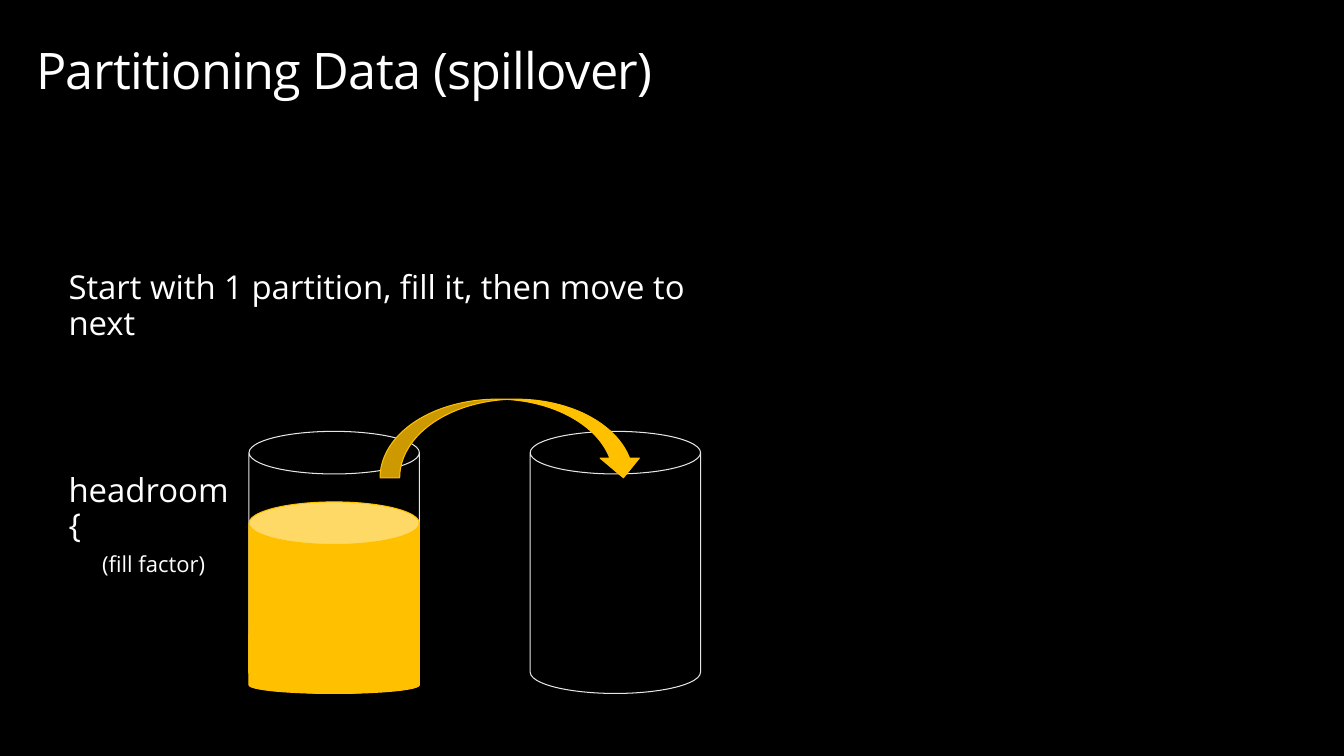
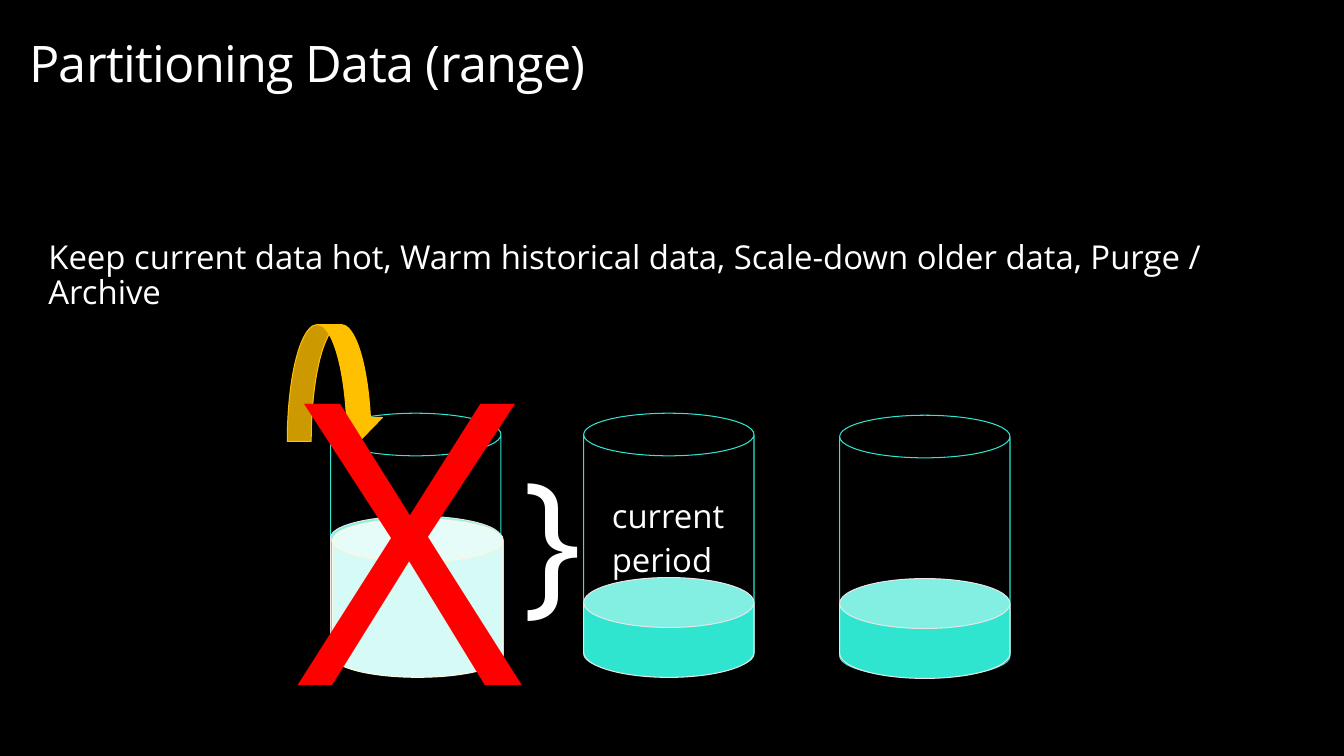
import pptx
import pptx.dml.color
import pptx.enum.shapes
import pptx.enum.text
import pptx.util
from lxml import etree

Pt = pptx.util.Pt
Shapes = pptx.enum.shapes.MSO_SHAPE
Align = pptx.enum.text.PP_ALIGN


def color(hex_string):
    return pptx.dml.color.RGBColor.from_string(hex_string)


def place(shape, left, top, width, height):
    shape.left, shape.top = Pt(left), Pt(top)
    shape.width, shape.height = Pt(width), Pt(height)


def write(shape, text, size=23.5, fill="FFFFFF", font="Open Sans", align=Align.LEFT,
          line_spacing=0.9, space_after=5.9, insets=(14.4, 11.52), tracking=0, new=False):
    frame = shape.text_frame
    frame.word_wrap = True
    frame.auto_size = pptx.enum.text.MSO_AUTO_SIZE.NONE
    frame.vertical_anchor = pptx.enum.text.MSO_ANCHOR.TOP
    frame.margin_left = frame.margin_right = Pt(insets[0])
    frame.margin_top = frame.margin_bottom = Pt(insets[1])
    paragraph = frame.add_paragraph() if new else frame.paragraphs[0]
    paragraph.alignment = align
    paragraph.line_spacing = line_spacing
    paragraph.space_before, paragraph.space_after = Pt(0), Pt(space_after)
    run = paragraph.add_run()
    run.text = text
    run.font.name, run.font.size = font, Pt(size)
    run.font.color.rgb = color(fill)
    if tracking:
        run.font._element.set("spc", str(int(tracking * 100)))
    return paragraph


class Deck:
    background = "000000"
    gold = "FFC000"
    teal = "30E5D0"
    pale_line = "E6E6E6"
    can_width = 121.68
    can_height = 187.2

    def __init__(self):
        self.presentation = pptx.Presentation()
        self.presentation.slide_width = Pt(960)
        self.presentation.slide_height = Pt(540)
        fill = self.presentation.slide_master.background.fill
        fill.solid()
        fill.fore_color.rgb = color(self.background)
        self.slide = None

    def add_slide(self, title, left, top):
        self.slide = self.presentation.slides.add_slide(self.presentation.slide_layouts[1])
        place(self.slide.shapes.title, left, top, 908.64, 70.56)
        write(self.slide.shapes.title, title, size=36, line_spacing=1, space_after=0,
              insets=(0, 0), tracking=-0.5)

    def statement(self, text, left, top, width):
        body = self.slide.placeholders[1]
        place(body, left, top, width, 74)
        properties = write(body, text)._p.get_or_add_pPr()
        properties.set("marL", "0")
        properties.set("indent", "0")
        etree.SubElement(properties, pptx.oxml.ns.qn("a:buNone"))

    def text(self, text, left, top, width, height, **style):
        box = self.slide.shapes.add_textbox(Pt(left), Pt(top), Pt(width), Pt(height))
        write(box, text, **style)
        return box

    def shape(self, kind, left, top, width, height, fill=None, line=None):
        shape = self.slide.shapes.add_shape(kind, Pt(left), Pt(top), Pt(width), Pt(height))
        shape.shadow.inherit = False
        if fill:
            shape.fill.solid()
            shape.fill.fore_color.rgb = color(fill)
        else:
            shape.fill.background()
        shape.line.color.rgb = color(line)
        shape.line.width = Pt(0.75)
        return shape

    def can(self, left, top, height=can_height, fill=None, line=pale_line, rim=0.25):
        can = self.shape(Shapes.CAN, left, top, self.can_width, height, fill, line)
        can.adjustments[0] = rim

    def arrow(self, left, top, width, height):
        self.shape(Shapes.CURVED_DOWN_ARROW, left, top, width, height, self.gold, self.gold)


deck = Deck()

deck.add_slide("Partitioning Data (spillover)", 25.92, 28.08)
deck.statement("Start with 1 partition, fill it, then move to next", 34.56, 182.16, 505.44)
full_left, next_left, can_top = 177.84, 378.72, 308.16
can_bottom = can_top + deck.can_height
deck.can(full_left, can_top)
for level in (48.24, 136.8):
    deck.can(full_left, can_bottom - level, level, deck.gold, deck.gold)
deck.can(next_left, can_top)
deck.arrow(271.44, 285.12, 187.92, 56.16)
headroom = deck.text("headroom {", 34.56, 326.88, 150.48, 71.28)
write(headroom, "(fill factor)", size=15.7, align=Align.CENTER, new=True)

deck.add_slide("Partitioning Data (range)", 20.88, 23.04)
deck.statement("Keep current data hot, Warm historical data, Scale-down older data, Purge / Archive",
               20.16, 160.56, 901.44)
old_left, current_left, future_left = 236.16, 416.88, 599.76
for left, top in ((old_left, 295.2), (current_left, 295.2), (future_left, 296.64)):
    deck.can(left, top, line=deck.teal)
deck.text("}", 358.56, 317.52, 62.64, 145.44, size=112.7)
period = deck.text("current", 422.64, 345.6, 109.44, 79.92)
write(period, "period", new=True)
for left, top in ((current_left, 412.56), (future_left, 413.28)):
    deck.can(left, top, 71.28, deck.teal, rim=0.5)
deck.arrow(205.2, 231.84, 68.4, 83.52)
for left, top, fill, line in (
    (old_left, 368.64, deck.teal, deck.pale_line),
    (old_left + 1.44, 370.08, "ACF5EC", "ACF5EC"),
    (old_left + 1.44, 370.8, "D6FAF6", "FFF6E1"),
):
    deck.can(left, top, 113.04, fill, line, rim=0.27)
deck.text("X", 197.28, 234.72, 216.72, 329.76, size=281.4, fill="FF0000")

deck.presentation.save("out.pptx")
